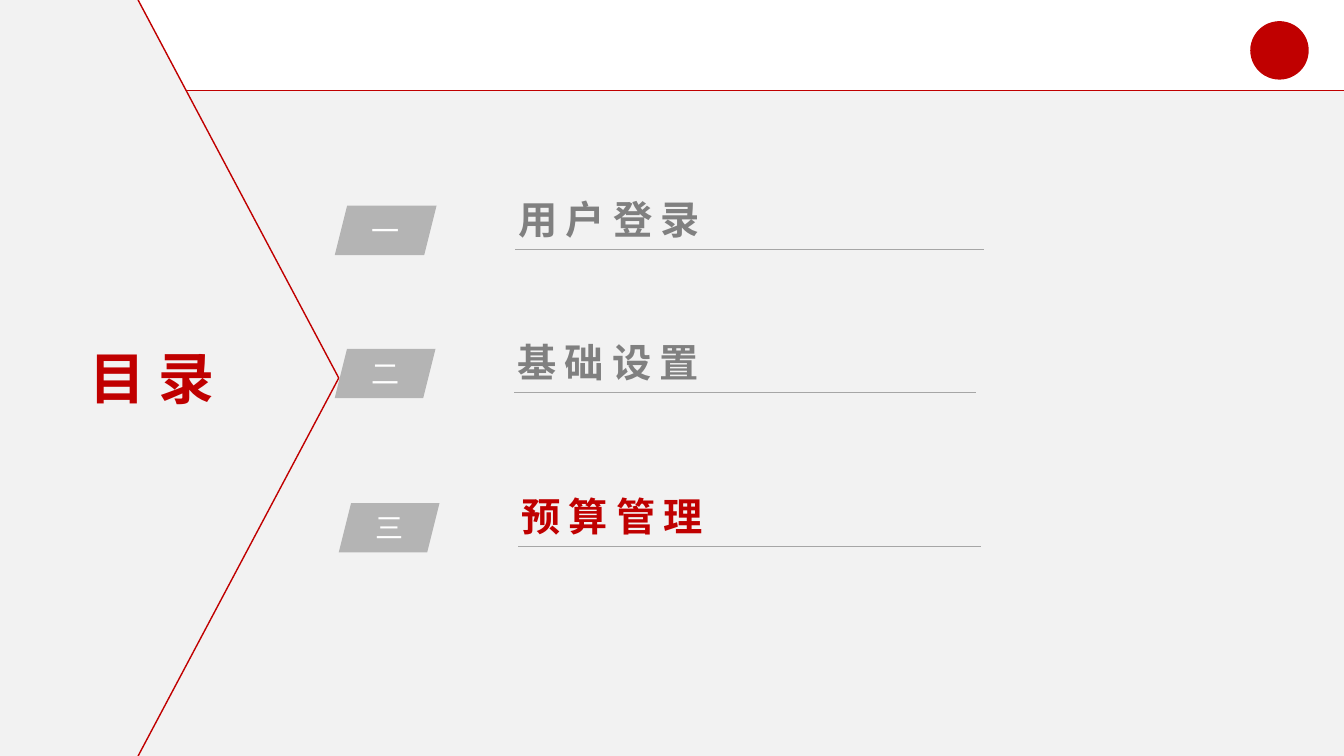
from lxml import etree
from pptx import Presentation
from pptx.dml.color import RGBColor
from pptx.enum.shapes import MSO_CONNECTOR, MSO_SHAPE
from pptx.enum.text import MSO_ANCHOR, MSO_AUTO_SIZE, PP_ALIGN
from pptx.oxml.ns import qn
from pptx.util import Inches, Pt

RED = RGBColor(0xC0, 0x00, 0x00)
PALE = RGBColor(0xF2, 0xF2, 0xF2)
TAG_GRAY = RGBColor(0xB4, 0xB4, 0xB4)
TEXT_GRAY = RGBColor(0x80, 0x80, 0x80)
RULE_GRAY = RGBColor(0xA6, 0xA6, 0xA6)
WHITE = RGBColor(0xFF, 0xFF, 0xFF)

STRAIGHT = MSO_CONNECTOR.STRAIGHT
RECTANGLE = MSO_SHAPE.RECTANGLE
TRIANGLE = MSO_SHAPE.ISOSCELES_TRIANGLE
PARALLELOGRAM = MSO_SHAPE.PARALLELOGRAM
OVAL = MSO_SHAPE.OVAL
MIDDLE = MSO_ANCHOR.MIDDLE
NO_AUTOFIT = MSO_AUTO_SIZE.NONE
LEFT, CENTER = PP_ALIGN.LEFT, PP_ALIGN.CENTER

WIDTH, HEIGHT = 13.33, 7.5
BAND_BOTTOM = 0.9
PANEL_RIGHT, PANEL_TIP = 1.37, 3.36

# number, heading, colour, tag left, tag top, tag width, rule length, text width
ENTRIES = [
    ("一", "用户登录", TEXT_GRAY, 3.32, 2.04, 1.01, 4.65, 8.29),
    ("二", "基础设置", TEXT_GRAY, 3.32, 3.46, 1.0, 4.58, 6.65),
    ("三", "预算管理", RED, 3.36, 4.99, 1.0, 4.59, 6.65),
]


def add_filled_shape(slide, kind, left, top, width, height, color):
    shape = slide.shapes.add_shape(
        kind, Inches(left), Inches(top), Inches(width), Inches(height))
    shape.fill.solid()
    shape.fill.fore_color.rgb = color
    shape.line.fill.background()
    shape.shadow.inherit = False
    return shape


def add_line(slide, start, end, color, weight):
    line = slide.shapes.add_connector(
        STRAIGHT, *(Inches(value) for value in (*start, *end)))
    line.line.color.rgb = color
    line.line.width = Pt(weight)
    etree.SubElement(line.element.spPr, qn("a:effectLst"))


def write_text(frame, text, size, color, bold=False, align=LEFT,
               line_spacing=None, tracking=None):
    """Fill the frame with one formatted paragraph; tracking is in points."""
    para = frame.paragraphs[0]
    para.alignment = align
    para.line_spacing = line_spacing
    span = para.add_run()
    span.text = text
    span.font.name = "Arial"
    span.font.size = Pt(size)
    span.font.bold = bold
    span.font.color.rgb = color
    if tracking:
        span.font._element.set("spc", str(tracking * 100))


def add_background(slide):
    add_filled_shape(slide, RECTANGLE, 0, BAND_BOTTOM,
                     WIDTH, HEIGHT - BAND_BOTTOM, PALE)
    add_line(slide, (0, BAND_BOTTOM), (WIDTH, BAND_BOTTOM), RED, 0.75)
    add_filled_shape(slide, OVAL, 12.4, 0.21, 0.58, 0.58, RED)


def add_side_panel(slide):
    """Draw the pale panel whose right edge points at the middle entry."""
    add_filled_shape(slide, RECTANGLE, 0, 0, PANEL_RIGHT + 0.01, HEIGHT, PALE)
    depth = PANEL_TIP - PANEL_RIGHT
    center = (PANEL_RIGHT + PANEL_TIP) / 2
    pointer = add_filled_shape(slide, TRIANGLE, center - HEIGHT / 2,
                               (HEIGHT - depth) / 2, HEIGHT, depth, PALE)
    pointer.rotation = 90
    for edge in (0, HEIGHT):
        add_line(slide, (PANEL_RIGHT, edge), (PANEL_TIP, HEIGHT / 2), RED, 1)


def place_title(slide, text):
    title = slide.shapes.title
    title.left, title.top = Inches(0.76), Inches(3.36)
    title.width, title.height = Inches(1.49), Inches(0.77)
    frame = title.text_frame
    frame.word_wrap = False
    frame.auto_size = NO_AUTOFIT
    frame.vertical_anchor = MIDDLE
    write_text(frame, text, 40, RED, bold=True, align=CENTER)
    title.element.getparent().append(title.element)  # bring above the panel


def add_entry(slide, number, heading, color, left, top, tag_width,
              rule_length, text_width):
    tag = add_filled_shape(slide, PARALLELOGRAM, left, top,
                           tag_width, 0.49, TAG_GRAY)
    frame = tag.text_frame
    frame.margin_left = frame.margin_right = 0
    frame.margin_top = frame.margin_bottom = 0
    frame.vertical_anchor = MIDDLE
    write_text(frame, number, 20, WHITE, align=CENTER)

    text_left = left + tag_width + 0.71
    box = slide.shapes.add_textbox(Inches(text_left), Inches(top - 0.1),
                                   Inches(text_width), Inches(0.52))
    box.text_frame.word_wrap = True
    write_text(box.text_frame, heading, 28, color, bold=True,
               line_spacing=0.9, tracking=6)

    rule_left, rule_top = text_left + 0.07, top + 0.43
    add_line(slide, (rule_left, rule_top),
             (rule_left + rule_length, rule_top), RULE_GRAY, 0.5)


def main():
    deck = Presentation()
    deck.slide_width, deck.slide_height = Inches(WIDTH), Inches(HEIGHT)
    slide = deck.slides.add_slide(deck.slide_layouts.get_by_name("Title Only"))
    add_background(slide)
    add_side_panel(slide)
    place_title(slide, "目 录")
    for entry in ENTRIES:
        add_entry(slide, *entry)
    deck.save("out.pptx")


if __name__ == "__main__":
    main()
